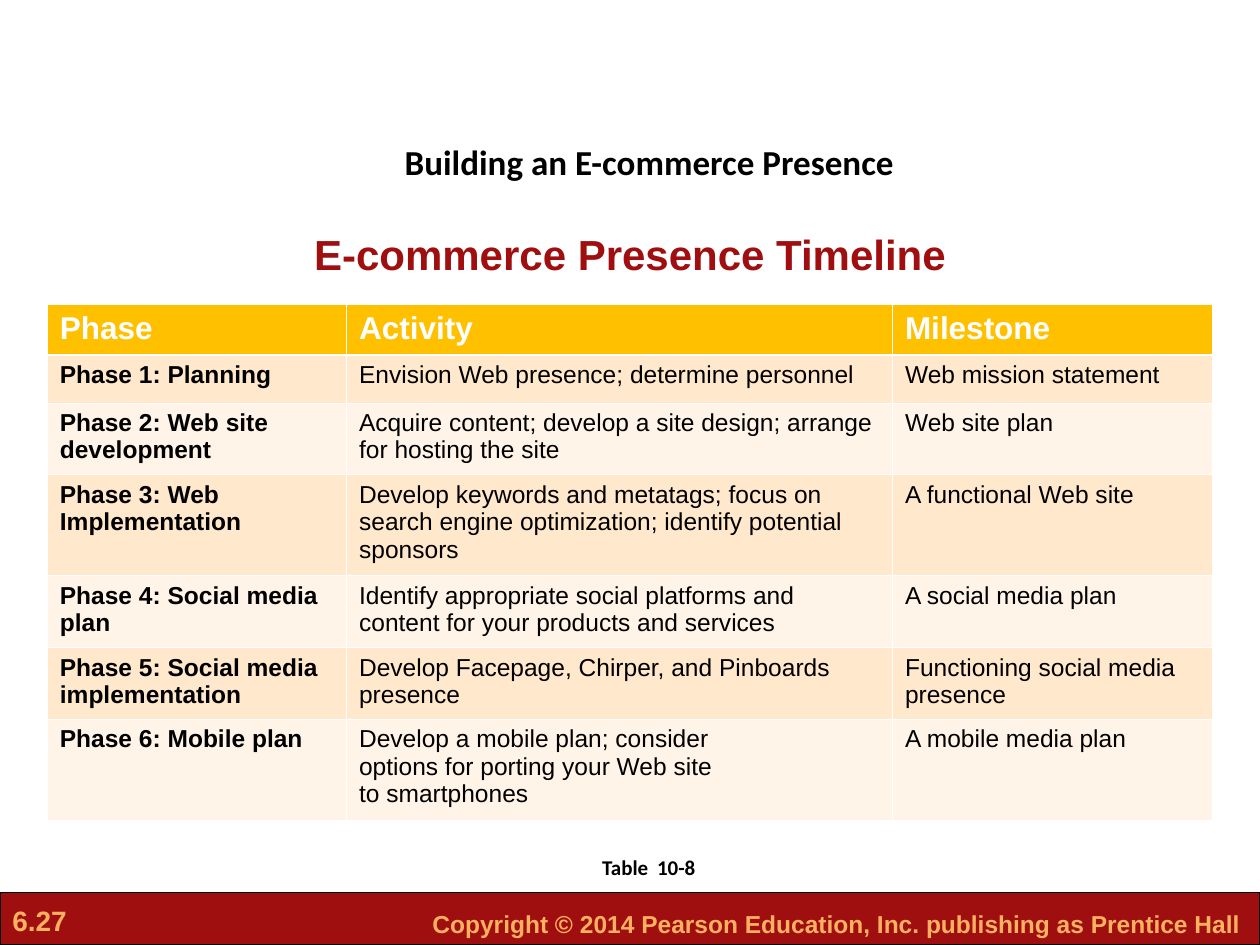
from lxml.etree import SubElement
from pptx import Presentation
from pptx.dml.color import RGBColor
from pptx.enum.shapes import MSO_SHAPE
from pptx.enum.text import MSO_ANCHOR, MSO_AUTO_SIZE, PP_ALIGN
from pptx.oxml.ns import qn
from pptx.util import Pt

COLORS = {
    "red": "9F0F10",
    "orange": "FFB060",
    "black": "000000",
    "white": "FFFFFF",
    "header": "FFC000",
    "odd_row": "FFE8CB",
    "even_row": "FFF4E7",
}
COLUMN_WIDTHS = [171, 312, 183]
ROW_HEIGHTS = [28.8, 27.4, 41, 57.8, 41, 41, 57.8]
TIMELINE = [
    ("Phase", "Activity", "Milestone"),
    ("Phase 1: Planning", "Envision Web presence; determine personnel",
     "Web mission statement"),
    ("Phase 2: Web site development",
     "Acquire content; develop a site design; arrange for hosting the site",
     "Web site plan"),
    ("Phase 3: Web Implementation",
     "Develop keywords and metatags; focus on search engine optimization; "
     "identify potential sponsors",
     "A functional Web site"),
    ("Phase 4: Social media plan",
     "Identify appropriate social platforms and content for your products and services",
     "A social media plan"),
    ("Phase 5: Social media implementation",
     "Develop Facepage, Chirper, and Pinboards presence",
     "Functioning social media\npresence"),
    ("Phase 6: Mobile plan",
     "Develop a mobile plan; consider\noptions for porting your Web site\nto smartphones",
     "A mobile media plan"),
]


def rgb(name):
    return RGBColor.from_string(COLORS[name])


def add_span(para, text, size, font="Arial", color="black", bold=True):
    span = para.add_run()
    span.text = text
    span.font.size = Pt(size)
    span.font.name = font
    span.font.bold = bold
    span.font.color.rgb = rgb(color)


def write_text(frame, text, align=PP_ALIGN.LEFT, **style):
    """Write one paragraph for each line of text."""
    for index, line in enumerate(text.split("\n")):
        para = frame.add_paragraph() if index else frame.paragraphs[0]
        para.alignment = align
        add_span(para, line, **style)


def place(shape, left, top, width, height):
    shape.left, shape.top = Pt(left), Pt(top)
    shape.width, shape.height = Pt(width), Pt(height)


def add_title(page, text, bounds, **style):
    title = page.shapes.title
    place(title, *bounds)
    title.text_frame.auto_size = MSO_AUTO_SIZE.NONE
    title.text_frame.vertical_anchor = MSO_ANCHOR.TOP
    write_text(title.text_frame, text, **style)


def add_text_box(page, bounds, wrap=True):
    box = page.shapes.add_textbox(*map(Pt, bounds))
    box.text_frame.word_wrap = wrap
    return box.text_frame


def add_footer_band(page):
    band = page.shapes.add_shape(MSO_SHAPE.RECTANGLE, *map(Pt, (0, 510, 720, 30)))
    band.shadow.inherit = False
    band.fill.solid()
    band.fill.fore_color.rgb = rgb("red")
    band.line.color.rgb = rgb("black")
    band.line.width = Pt(0.75)


def set_borders(cell, **widths):
    properties = cell._tc.get_or_add_tcPr()
    for side in "LRTB":
        line = SubElement(properties, qn(f"a:ln{side}"), w=str(Pt(widths.get(side, 0.45))))
        fill = SubElement(line, qn("a:solidFill"))
        SubElement(fill, qn("a:srgbClr"), val=COLORS["white"])


def add_timeline_table(page):
    bounds = (27, 174, sum(COLUMN_WIDTHS), sum(ROW_HEIGHTS))
    table = page.shapes.add_table(
        len(TIMELINE), len(COLUMN_WIDTHS), *map(Pt, bounds)).table
    for column, width in zip(table.columns, COLUMN_WIDTHS):
        column.width = Pt(width)
    for row, height in zip(table.rows, ROW_HEIGHTS):
        row.height = Pt(height)
    for row_index, texts in enumerate(TIMELINE):
        header = row_index == 0
        row_fill = "header" if header else "odd_row" if row_index % 2 else "even_row"
        heavy_edge = {0: {"B": 1.47}, 1: {"T": 1.47}}.get(row_index, {})
        for column_index, text in enumerate(texts):
            cell = table.cell(row_index, column_index)
            set_borders(cell, **heavy_edge)
            cell.fill.solid()
            cell.fill.fore_color.rgb = rgb(row_fill)
            write_text(cell.text_frame, text, size=18 if header else 14,
                       color="white" if header else "black",
                       bold=header or column_index == 0)


def main():
    deck = Presentation()
    deck.slide_width, deck.slide_height = Pt(720), Pt(540)
    page = deck.slides.add_slide(deck.slide_layouts[5])

    add_footer_band(page)
    write_text(add_text_box(page, (0, 512.6, 55, 26.6)), "6.27",
               size=16, color="orange")
    write_text(add_text_box(page, (240, 516, 480, 24)),
               "Copyright © 2014 Pearson Education, Inc. publishing as Prentice Hall",
               size=14, color="orange")

    add_title(page, "E-commerce Presence Timeline", (54, 127, 612, 36),
              align=PP_ALIGN.CENTER, size=24, color="red")
    write_text(add_text_box(page, (110, 76.5, 522, 31.7)),
               "Building an E-commerce Presence",
               align=PP_ALIGN.CENTER, size=20, font="Calibri")

    caption = add_text_box(page, (337, 479, 68, 29), wrap=False).paragraphs[0]
    add_span(caption, "Table", 12, "Calibri")
    add_span(caption, " ", 18)
    add_span(caption, "10-8", 12, "Calibri")

    add_timeline_table(page)
    deck.save("out.pptx")


if __name__ == "__main__":
    main()
